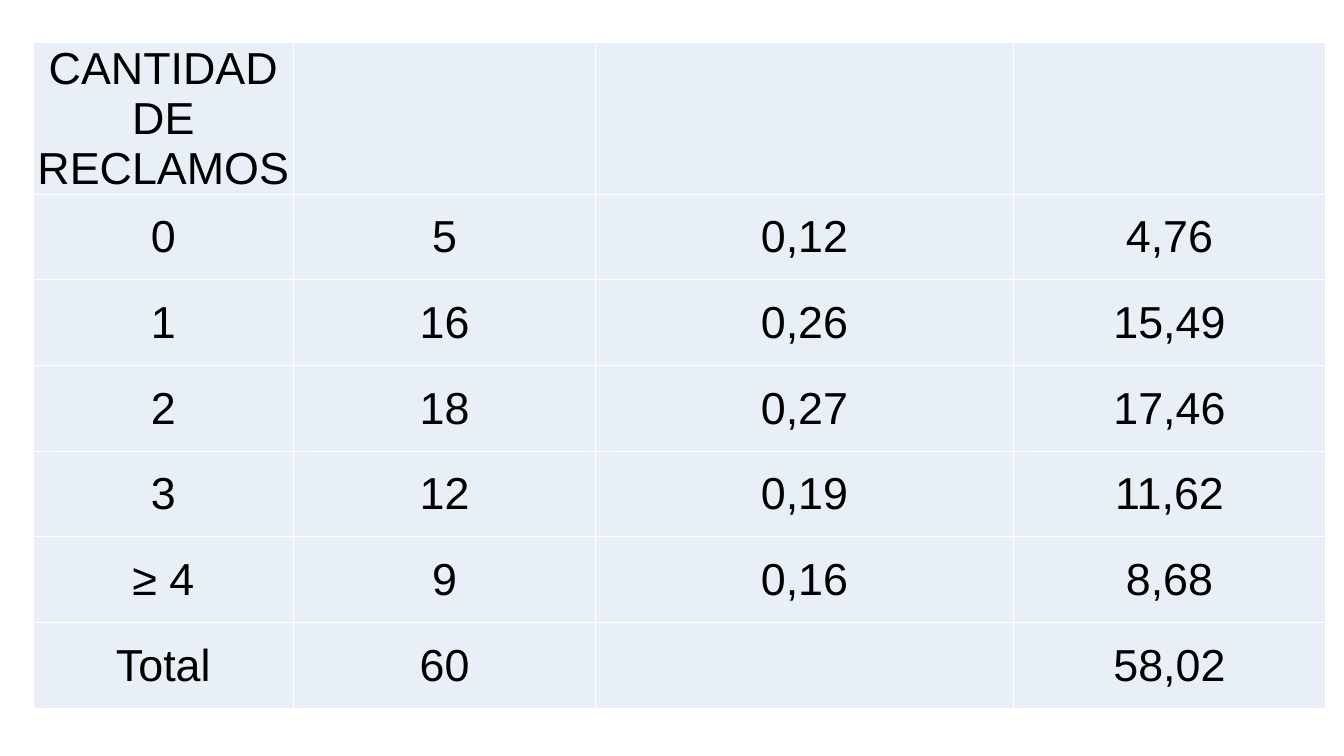
from dataclasses import dataclass

import pptx
import pptx.dml.color
import pptx.enum.text
import pptx.oxml
import pptx.oxml.ns
import pptx.presentation
import pptx.slide
import pptx.table
import pptx.util

Inches = pptx.util.Inches

CELL_FILL = "E9EFF7"
BORDER_COLOR = "FFFFFF"
TEXT_COLOR = "000000"
COLUMN_WIDTHS = (2.58, 3, 4.14, 3.1)


@dataclass(frozen=True)
class ClaimRow:
    claims: str
    observed: str = ""
    probability: str = ""
    expected: str = ""
    height: float = 0.85

    def texts(self) -> tuple[str, ...]:
        return self.claims, self.observed, self.probability, self.expected


CLAIM_ROWS = (
    ClaimRow("CANTIDAD DE RECLAMOS", height=1.4),
    ClaimRow("0", "5", "0,12", "4,76"),
    ClaimRow("1", "16", "0,26", "15,49"),
    ClaimRow("2", "18", "0,27", "17,46"),
    ClaimRow("3", "12", "0,19", "11,62"),
    ClaimRow("≥ 4", "9", "0,16", "8,68"),
    ClaimRow("Total", "60", "", "58,02"),
)


def color(value: str) -> pptx.dml.color.RGBColor:
    return pptx.dml.color.RGBColor.from_string(value)


def add_borders(cell: pptx.table._Cell) -> None:
    """Draw a one-point line on all four sides; lines must precede the fill."""
    properties = cell._tc.get_or_add_tcPr()
    for position, side in enumerate(("lnL", "lnR", "lnT", "lnB")):
        line = pptx.oxml.parse_xml(
            f'<a:{side} {pptx.oxml.ns.nsdecls("a")} w="{pptx.util.Pt(1)}">'
            f'<a:solidFill><a:srgbClr val="{BORDER_COLOR}"/></a:solidFill></a:{side}>'
        )
        properties.insert(position, line)


def fill_cell(cell: pptx.table._Cell, text: str) -> None:
    cell.fill.solid()
    cell.fill.fore_color.rgb = color(CELL_FILL)
    add_borders(cell)
    if not text:
        return
    cell.margin_left = cell.margin_right = cell.margin_top = Inches(0.01)
    cell.margin_bottom = 0
    cell.vertical_anchor = pptx.enum.text.MSO_ANCHOR.MIDDLE
    cell.text_frame.text = text
    para = cell.text_frame.paragraphs[0]
    para.alignment = pptx.enum.text.PP_ALIGN.CENTER
    font = para.runs[0].font
    font.name = "Arial"
    font.size = pptx.util.Pt(32)
    font.bold = False
    font.color.rgb = color(TEXT_COLOR)


def add_claims_table(page: pptx.slide.Slide) -> None:
    total_height = sum(row.height for row in CLAIM_ROWS)
    table = page.shapes.add_table(
        len(CLAIM_ROWS), len(COLUMN_WIDTHS),
        Inches(0.33), Inches(0.42),
        Inches(sum(COLUMN_WIDTHS)), Inches(total_height),
    ).table
    table.first_row = False
    table.horz_banding = False
    for column, width in zip(table.columns, COLUMN_WIDTHS):
        column.width = Inches(width)
    for table_row, claim_row in zip(table.rows, CLAIM_ROWS):
        table_row.height = Inches(claim_row.height)
        for cell, text in zip(table_row.cells, claim_row.texts()):
            fill_cell(cell, text)


def main() -> None:
    deck = pptx.Presentation()
    deck.slide_width = Inches(13.33)
    deck.slide_height = Inches(7.5)
    page = deck.slides.add_slide(deck.slide_layouts[6])
    add_claims_table(page)
    deck.save("out.pptx")


if __name__ == "__main__":
    main()
